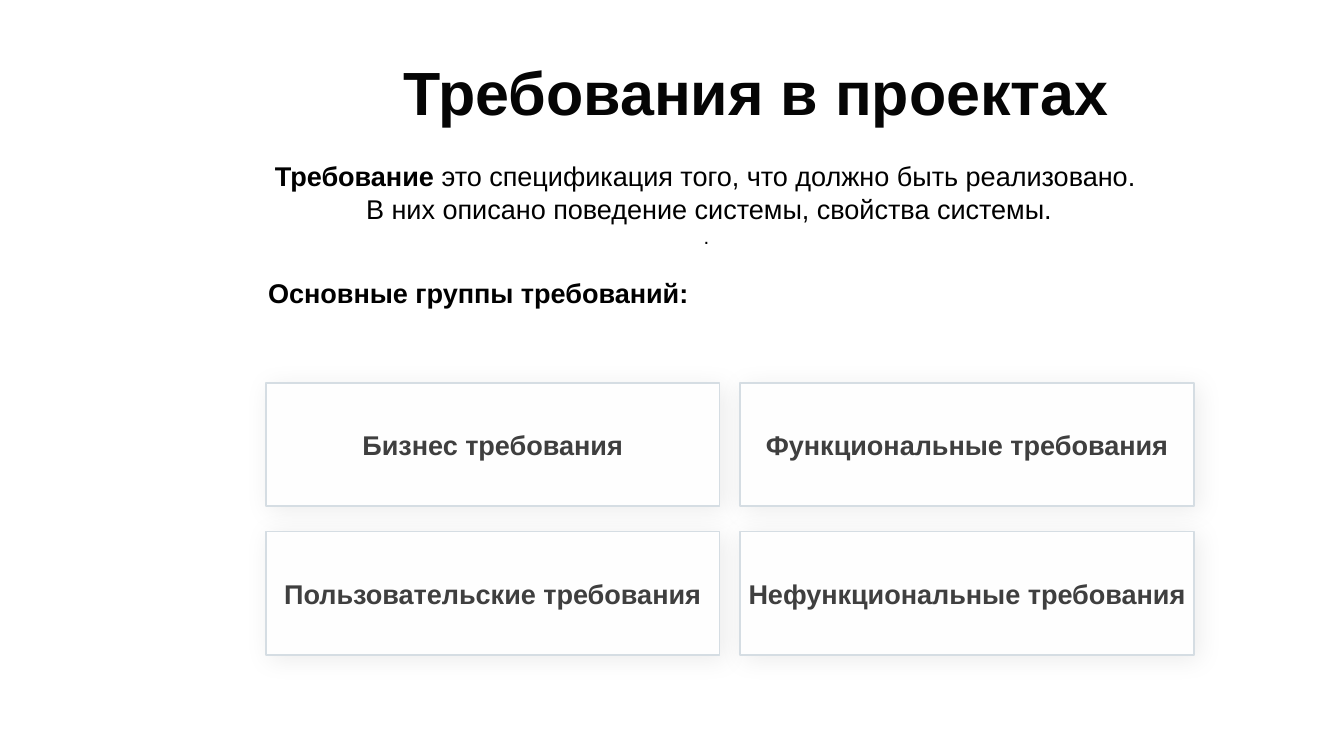
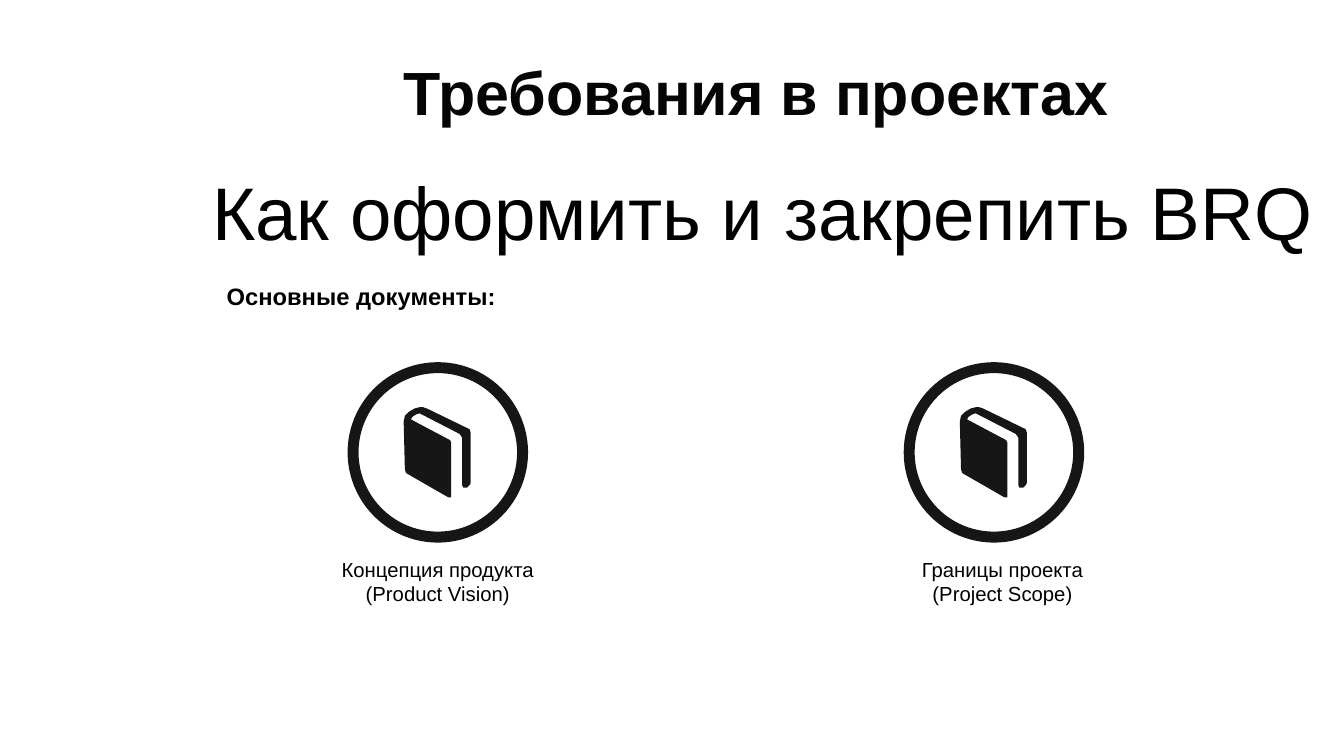
from lxml import etree
from pptx import Presentation
from pptx import util as u
from pptx.dml.color import RGBColor
from pptx.enum import shapes, text
from pptx.oxml.ns import qn

COLORS = {
    "title": "050505",
    "text": "000000",
    "card": "FEFEFE",
    "border": "D5DDE3",
    "card_text": "3F3F3F",
    "icon": "161616",
    "shadow": "000000",
}
FONT = "Arial"
TITLE = "Требования в проектах"
LEFT, CENTER = text.PP_ALIGN.LEFT, text.PP_ALIGN.CENTER


def style(p, size, color, bold=False, align=CENTER):
    p.alignment = align
    for r in p.runs:
        r.font.name = FONT
        r.font.size = u.Pt(size)
        r.font.bold = bold
        r.font.color.rgb = RGBColor.from_string(COLORS[color])


def add_text(s, box, lines, size, bold=False, align=CENTER, inset=0.05):
    tf = s.shapes.add_textbox(*map(u.Inches, box)).text_frame
    tf.word_wrap = True
    tf.margin_top = tf.margin_bottom = u.Inches(inset)
    tf.text = "\n".join(lines)
    for p in tf.paragraphs:
        style(p, size, "text", bold, align)
    return tf


prs = Presentation()
prs.slide_width, prs.slide_height = u.Inches(11.02), u.Inches(6.2)

slides = []
for _ in range(2):
    s = prs.slides.add_slide(prs.slide_layouts[5])
    title = s.shapes.title
    title.left, title.top = u.Inches(1.77), u.Inches(0.24)
    title.width, title.height = u.Inches(8.86), u.Inches(1.02)
    tf = title.text_frame
    tf.text = TITLE
    tf.auto_size = text.MSO_AUTO_SIZE.NONE
    tf.vertical_anchor = text.MSO_ANCHOR.MIDDLE
    tf.margin_left = tf.margin_right = tf.margin_top = tf.margin_bottom = 0
    style(tf.paragraphs[0], 36, "title", True)
    slides.append(s)
groups_slide, documents_slide = slides

tf = add_text(
    groups_slide,
    (1.84, 1.26, 7.95, 0.84),
    ["Требование", "В них описано поведение системы, свойства системы.", ". "],
    16,
)
definition, _, dot = tf.paragraphs
definition.add_run().text = " это спецификация того, что должно быть реализовано. "
style(definition, 16, "text")
definition.runs[0].font.bold = True
style(dot, 12, "text")

add_text(groups_slide, (2.1, 2.22, 6.51, 0.37), ["Основные группы требований:"], 16, True, LEFT)

groups = [
    "Бизнес требования",
    "Функциональные требования",
    "Пользовательские требования",
    "Нефункциональные требования",
]
CARD_W, CARD_H, GAP_X, GAP_Y = 3.72, 1.01, 0.17, 0.21
for i, label in enumerate(groups):
    row, col = divmod(i, 2)
    sp = groups_slide.shapes.add_shape(
        shapes.MSO_SHAPE.RECTANGLE,
        u.Inches(2.18 + col * (CARD_W + GAP_X)),
        u.Inches(3.14 + row * (CARD_H + GAP_Y)),
        u.Inches(CARD_W),
        u.Inches(CARD_H),
    )
    sp.fill.solid()
    sp.fill.fore_color.rgb = RGBColor.from_string(COLORS["card"])
    sp.line.color.rgb = RGBColor.from_string(COLORS["border"])
    sp.line.width = u.Pt(1)
    sp.shadow.inherit = False
    effects = sp.element.spPr.find(qn("a:effectLst"))
    shadow = etree.SubElement(
        effects, qn("a:outerShdw"), blurRad=str(u.Pt(15)), dist=str(u.Pt(3)),
        dir=str(45 * 60000), algn="ctr", rotWithShape="0",
    )
    color = etree.SubElement(shadow, qn("a:srgbClr"), val=COLORS["shadow"])
    etree.SubElement(color, qn("a:alpha"), val="7000")
    tf = sp.text_frame
    tf.text = label
    tf.word_wrap = True
    tf.vertical_anchor = text.MSO_ANCHOR.MIDDLE
    tf.margin_left = tf.margin_right = tf.margin_top = tf.margin_bottom = 0
    style(tf.paragraphs[0], 16, "card_text", True)

add_text(documents_slide, (1.64, 1.26, 9.32, 1.2), ["Как оформить и закрепить BRQ"], 44, False, LEFT, 0.1)
add_text(documents_slide, (1.76, 2.26, 2.52, 0.34), ["Основные документы:"], 14, True, LEFT)

BOOK = [
    (100, 55), (65, 38), (62, 37), (59, 37), (55, 38), (50, 41), (47, 44), (46, 49),
    (47, 88), (48, 91), (81, 110), (83, 111), (85, 111), (85, 109), (85, 66), (84, 64),
    (52, 47), (53, 45), (56, 43), (59, 42), (61, 43), (92, 59), (94, 62), (94, 101),
    (95, 103), (98, 103), (100, 101), (101, 99), (101, 58),
]
RING, RING_TOP, RING_WIDTH = 1.48, 2.97, 0.09
documents = [
    (2.85, 2.69, 1.8, ["Концепция продукта", "(Product Vision)"]),
    (7.41, 7.45, 1.54, ["Границы проекта", "(Project Scope)"]),
]
for ring_left, caption_left, caption_width, lines in documents:
    ring = documents_slide.shapes.add_shape(
        shapes.MSO_SHAPE.DONUT, u.Inches(ring_left), u.Inches(RING_TOP), u.Inches(RING), u.Inches(RING)
    )
    ring.adjustments[0] = RING_WIDTH / RING
    builder = documents_slide.shapes.build_freeform(*BOOK[0], scale=u.Inches(0.01))
    builder.add_line_segments(BOOK[1:], close=True)
    book = builder.convert_to_shape(u.Inches(ring_left), u.Inches(RING_TOP))
    for sp in (ring, book):
        sp.shadow.inherit = False
        sp.fill.solid()
        sp.fill.fore_color.rgb = RGBColor.from_string(COLORS["icon"])
        sp.line.fill.background()
    add_text(documents_slide, (caption_left, 4.52, caption_width, 0.5), lines, 12)

prs.save("out.pptx")
